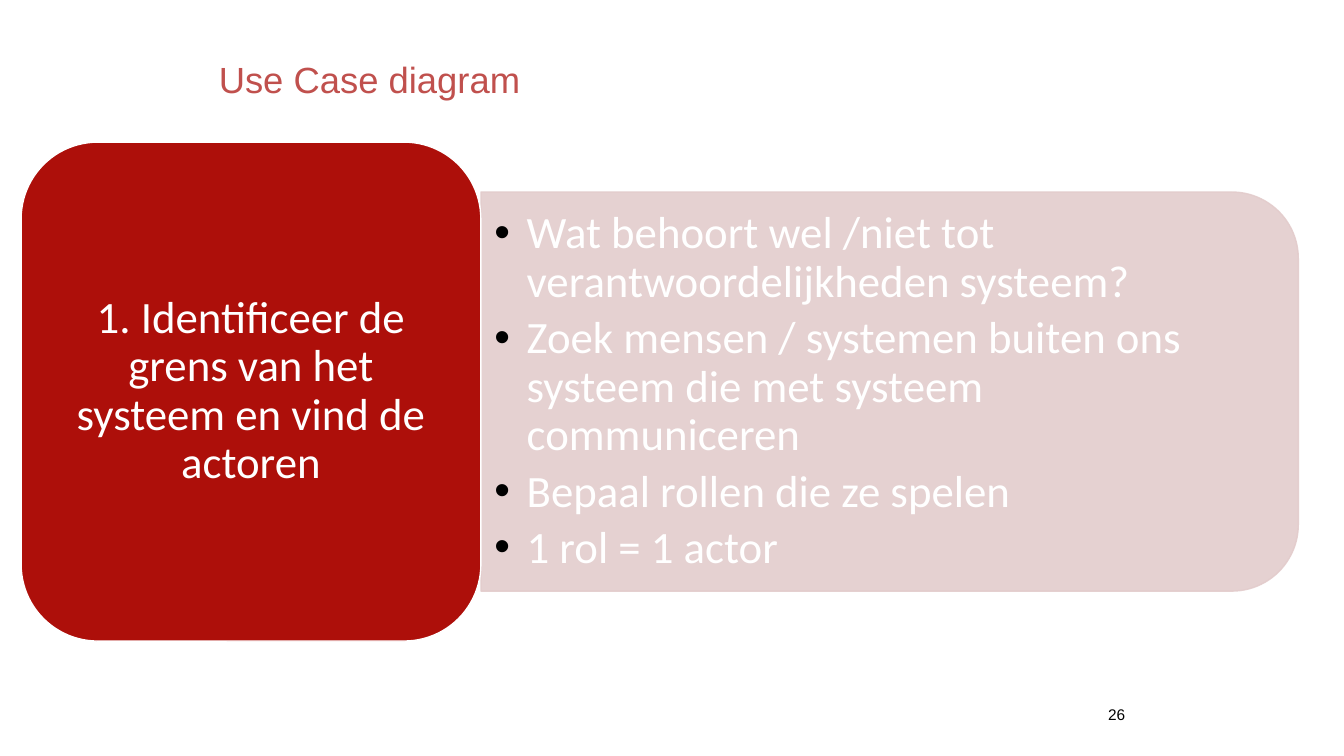
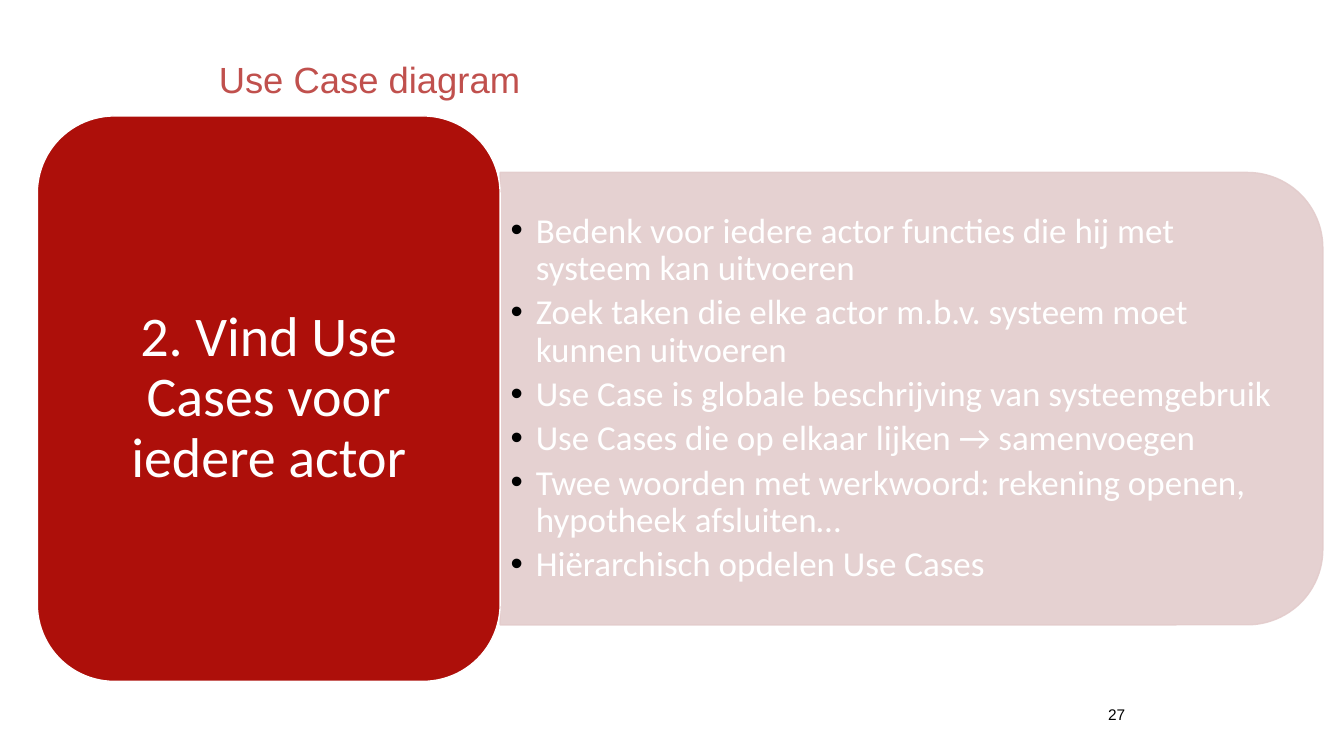
from dataclasses import dataclass

from lxml import etree
from pptx import Presentation
from pptx import util as u
from pptx.dml.color import RGBColor
from pptx.enum import shapes, text
from pptx.oxml.ns import qn


@dataclass(frozen=True)
class Theme:
    """Colours, fonts and type sizes that the slides share."""
    title: str = "C0504D"
    card: str = "AD0F0A"
    panel: str = "E3CCCC"
    light: str = "FFFFFF"
    dark: str = "000000"
    head: str = "Arial"
    body: str = "Calibri"
    big: int = 26
    small: int = 11
    alpha: int = 90


T = Theme()
LEFT, MID, RIGHT = text.PP_ALIGN.LEFT, text.PP_ALIGN.CENTER, text.PP_ALIGN.RIGHT

STEPS = [
    dict(page="26", card=(0.21, 1.41, 4.56, 4.95), sizes=(32, 32),
         label="1. Identificeer de grens van het systeem en vind de actoren",
         points=["Wat behoort wel /niet tot verantwoordelijkheden systeem?",
                 "Zoek mensen / systemen buiten ons systeem die met systeem communiceren",
                 "Bepaal rollen die ze spelen",
                 "1 rol = 1 actor"]),
    dict(page="27", card=(0.37, 1.15, 4.59, 5.61), sizes=(40, 25),
         label="2. Vind Use Cases voor iedere actor",
         points=["Bedenk voor iedere actor functies die hij met systeem kan uitvoeren",
                 "Zoek taken die elke actor m.b.v. systeem moet kunnen uitvoeren",
                 "Use Case is globale beschrijving van systeemgebruik",
                 "Use Cases die op elkaar lijken → samenvoegen",
                 "Twee woorden met werkwoord: rekening openen, hypotheek afsluiten…",
                 "Hiërarchisch opdelen Use Cases"]),
]


def put(obj, **vals):
    """Set each named value on an object."""
    for name, val in vals.items():
        setattr(obj, name, val)


def bullet(para, size):
    """Give a paragraph a hanging dark bullet sized to its text."""
    props = para._p.get_or_add_pPr()
    hang = u.Inches(size / 100)
    props.set("marL", str(hang))
    props.set("indent", str(-hang))
    tint = etree.SubElement(props, qn("a:buClr"))
    etree.SubElement(tint, qn("a:srgbClr"), val=T.dark)
    etree.SubElement(props, qn("a:buFont"), typeface=T.head)
    etree.SubElement(props, qn("a:buChar"), char="•")


def write(shape, lines, size, color, font, align=LEFT, pad=0, lead=1.0, dots=False):
    """Fill a shape with paragraphs of one style."""
    frame = shape.text_frame
    side, edge = u.Inches(pad), u.Inches(pad / 2)
    put(frame, word_wrap=True, vertical_anchor=text.MSO_ANCHOR.MIDDLE,
        margin_left=side, margin_right=side, margin_top=edge, margin_bottom=edge)
    for i, line in enumerate(lines):
        para = frame.add_paragraph() if i else frame.paragraphs[0]
        put(para, alignment=align, line_spacing=lead)
        if dots:
            para.space_after = u.Pt(round(size * 0.18, 1))
            bullet(para, size)
        run = para.add_run()
        run.text = line
        put(run.font, size=u.Pt(size), name=font)
        run.font.color.rgb = RGBColor.from_string(color)


def box(slide, at, lines, size, color, font, **style):
    """Add a text box."""
    area = slide.shapes.add_textbox(*map(u.Inches, at))
    write(area, lines, size, color, font, **style)


def block(slide, kind, at, fill, edge):
    """Add a filled and outlined shape."""
    shape = slide.shapes.add_shape(kind, *map(u.Inches, at))
    shape.shadow.inherit = False
    shape.fill.solid()
    shape.fill.fore_color.rgb = RGBColor.from_string(fill)
    shape.line.color.rgb = RGBColor.from_string(edge)
    shape.line.width = u.Pt(1)
    return shape


def fade(shape):
    """Make the fill and outline of a shape slightly clear."""
    for tint in shape._element.spPr.iter(qn("a:srgbClr")):
        etree.SubElement(tint, qn("a:alpha"), val=str(T.alpha * 1000))


def panel(slide, card, points, size):
    """Add the bulleted panel that extends a card to the right."""
    left, top, wide, high = card
    start, mid = left + wide, top + high / 2
    span, tall = wide * 16 / 9, high * 0.8
    at = (start + (span - tall) / 2, mid - span / 2, tall, span)
    shape = block(slide, shapes.MSO_SHAPE.ROUND_2_SAME_RECTANGLE, at, T.panel, T.panel)
    shape.rotation = 90
    fade(shape)
    trim = tall / 6 * 0.29
    area = (start, mid - tall / 2 + trim, span - trim, tall - 2 * trim)
    box(slide, area, points, size, T.light, T.body, pad=size / 240, lead=0.9, dots=True)


def label(slide, card, line, size):
    """Add the card that names a step."""
    shape = block(slide, shapes.MSO_SHAPE.ROUNDED_RECTANGLE, card, T.card, T.light)
    write(shape, [line], size, T.light, T.body, align=MID, pad=size / 240, lead=0.9)


def step(deck, data):
    """Add the slide of one step."""
    slide = deck.slides.add_slide(deck.slide_layouts[6])
    box(slide, (2.17, 0.16, 9, 1.25), ["Use Case diagram"], T.big, T.title, T.head)
    large, size = data["sizes"]
    panel(slide, data["card"], data["points"], size)
    label(slide, data["card"], data["label"], large)
    box(slide, (8.83, 6.83, 2.33, 0.52), [data["page"]], T.small, T.dark, T.head, align=RIGHT)


def main():
    """Build and save the deck."""
    deck = Presentation()
    put(deck, slide_width=u.Inches(13.33), slide_height=u.Inches(7.5))
    for data in STEPS:
        step(deck, data)
    deck.save("out.pptx")


if __name__ == "__main__":
    main()
